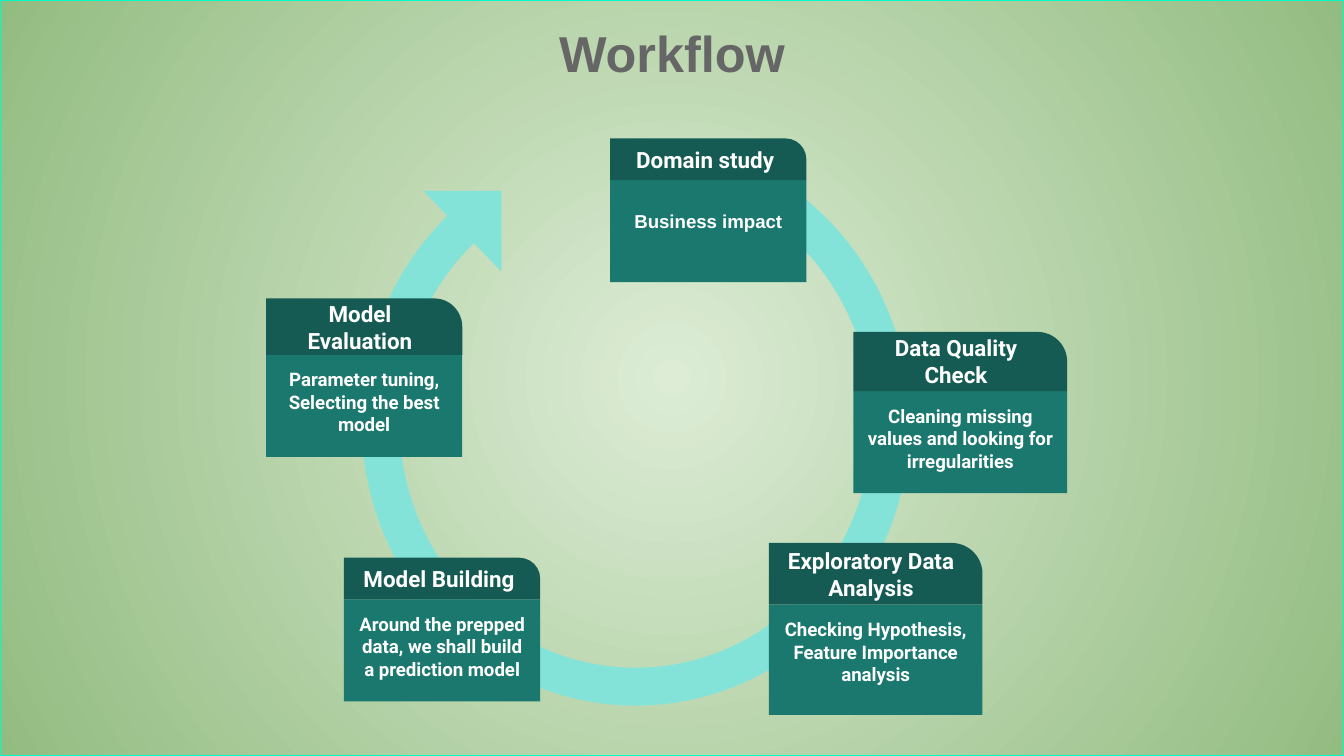
from dataclasses import dataclass

from lxml.etree import SubElement
from pptx import Presentation
from pptx.dml.color import RGBColor
from pptx.enum.shapes import MSO_SHAPE as Preset
from pptx.enum.text import MSO_ANCHOR as Anchor, MSO_AUTO_SIZE as AutoSize, PP_ALIGN as Align
from pptx.oxml.ns import qn
from pptx.shapes.autoshape import Shape
from pptx.slide import Slide
from pptx.text.text import TextFrame
from pptx.util import Inches, Pt

COLORS = {
    "glow": "DCECD5",
    "edge": "93BC81",
    "frame": "00FDC8",
    "title": "666666",
    "cycle": "83E3D9",
    "header": "155B54",
    "body": "1B786E",
    "text": "FFFFFF",
}
SLIDE_W = 10
SLIDE_H = SLIDE_W * 9 / 16
INSET = 0.1


@dataclass
class Step:
    heading: str
    details: list[str]
    left: float
    top: float
    header_height: float
    width: float = 1.46
    body_height: float = 0.76
    body_font: str = "Roboto"
    body_anchor: Anchor = Anchor.TOP
    bottom_inset: float = INSET


STEPS = [
    Step("Domain study", ["Business impact"], 4.54, 1.03, 0.31,
         body_font="Arial", body_anchor=Anchor.MIDDLE, bottom_inset=0.25),
    Step("Data Quality Check", ["Cleaning missing values and looking for irregularities"],
         6.35, 2.47, 0.44, width=1.59),
    Step("Exploratory Data Analysis", ["Checking Hypothesis,", "Feature Importance analysis"],
         5.72, 4.04, 0.46, width=1.59, body_height=0.82),
    Step("Model Building", ["Around the prepped data, we shall build a prediction model"],
         2.56, 4.15, 0.31),
    Step("Model Evaluation", ["Parameter tuning,", "Selecting the best model"],
         1.98, 2.22, 0.42),
]


def color(name: str) -> RGBColor:
    return RGBColor.from_string(COLORS[name])


def add_block(slide: Slide, preset: Preset, left: float, top: float,
              width: float, height: float, fill: str) -> Shape:
    block = slide.shapes.add_shape(
        preset, Inches(left), Inches(top), Inches(width), Inches(height))
    block.shadow.inherit = False
    block.fill.solid()
    block.fill.fore_color.rgb = color(fill)
    block.line.fill.background()
    return block


def write(frame: TextFrame, lines: list[str], font: str, size: float,
          ink: str = "text", anchor: Anchor = Anchor.MIDDLE,
          bottom_inset: float = INSET) -> None:
    """Fill a frame with centred bold paragraphs."""
    frame.text = "\n".join(lines)
    frame.word_wrap = True
    frame.auto_size = AutoSize.NONE
    frame.vertical_anchor = anchor
    frame.margin_left = frame.margin_right = frame.margin_top = Inches(INSET)
    frame.margin_bottom = Inches(bottom_inset)
    for paragraph in frame.paragraphs:
        paragraph.alignment = Align.CENTER
        paragraph.font.name = font
        paragraph.font.size = Pt(size)
        paragraph.font.bold = True
        paragraph.font.color.rgb = color(ink)


def add_backdrop(slide: Slide) -> None:
    """Cover the slide with a radial gradient, behind everything else."""
    backdrop = add_block(slide, Preset.RECTANGLE, 0, 0, SLIDE_W, SLIDE_H, "glow")
    backdrop.fill.gradient()
    for stop, name in zip(backdrop.fill.gradient_stops, ("glow", "edge")):
        stop.color.rgb = color(name)
    gradient = backdrop._element.spPr.find(qn("a:gradFill"))
    gradient.remove(gradient.find(qn("a:lin")))
    radial = SubElement(gradient, qn("a:path"), {"path": "circle"})
    SubElement(radial, qn("a:fillToRect"), dict.fromkeys("ltrb", "50000"))
    backdrop.line.color.rgb = color("frame")
    backdrop.line.width = Pt(0.75)
    slide.shapes._spTree.insert(2, backdrop._element)


def add_title(slide: Slide, wording: str) -> None:
    title = slide.shapes.title
    title.left, title.top = Inches(2.75), Inches(0.11)
    title.width, title.height = Inches(4.5), Inches(0.62)
    write(title.text_frame, [wording], "Arial", 27, ink="title")
    title.text_frame.paragraphs[0].line_spacing = 0.9


def add_cycle_arrow(slide: Slide) -> None:
    ring = add_block(slide, Preset.BLOCK_ARC, 2.69, 1.03, 4.08, 4.22, "cycle")
    # Angles count in 60000ths of a degree, adjustments in 100000ths
    ring.adjustments[0] = 90 * 0.6
    ring.adjustments[1] = 50.21 * 0.6
    ring.adjustments[2] = 0.069
    head = add_block(slide, Preset.RIGHT_TRIANGLE, 3.15, 1.42, 0.58, 0.6, "cycle")
    ring.rotation = head.rotation = 180


def add_step(slide: Slide, step: Step) -> None:
    body = add_block(slide, Preset.RECTANGLE, step.left, step.top + step.header_height,
                     step.width, step.body_height, "body")
    write(body.text_frame, step.details, step.body_font, 10,
          anchor=step.body_anchor, bottom_inset=step.bottom_inset)
    header = add_block(slide, Preset.ROUND_1_RECTANGLE, step.left, step.top,
                       step.width, step.header_height, "header")
    header.adjustments[0] = 0.5
    write(header.text_frame, [step.heading], "Roboto", 12)


def main() -> None:
    deck = Presentation()
    deck.slide_width, deck.slide_height = Inches(SLIDE_W), Inches(SLIDE_H)
    slide = deck.slides.add_slide(deck.slide_layouts[5])
    add_backdrop(slide)
    add_title(slide, "Workflow")
    add_cycle_arrow(slide)
    for step in STEPS:
        add_step(slide, step)
    deck.save("out.pptx")


if __name__ == "__main__":
    main()
